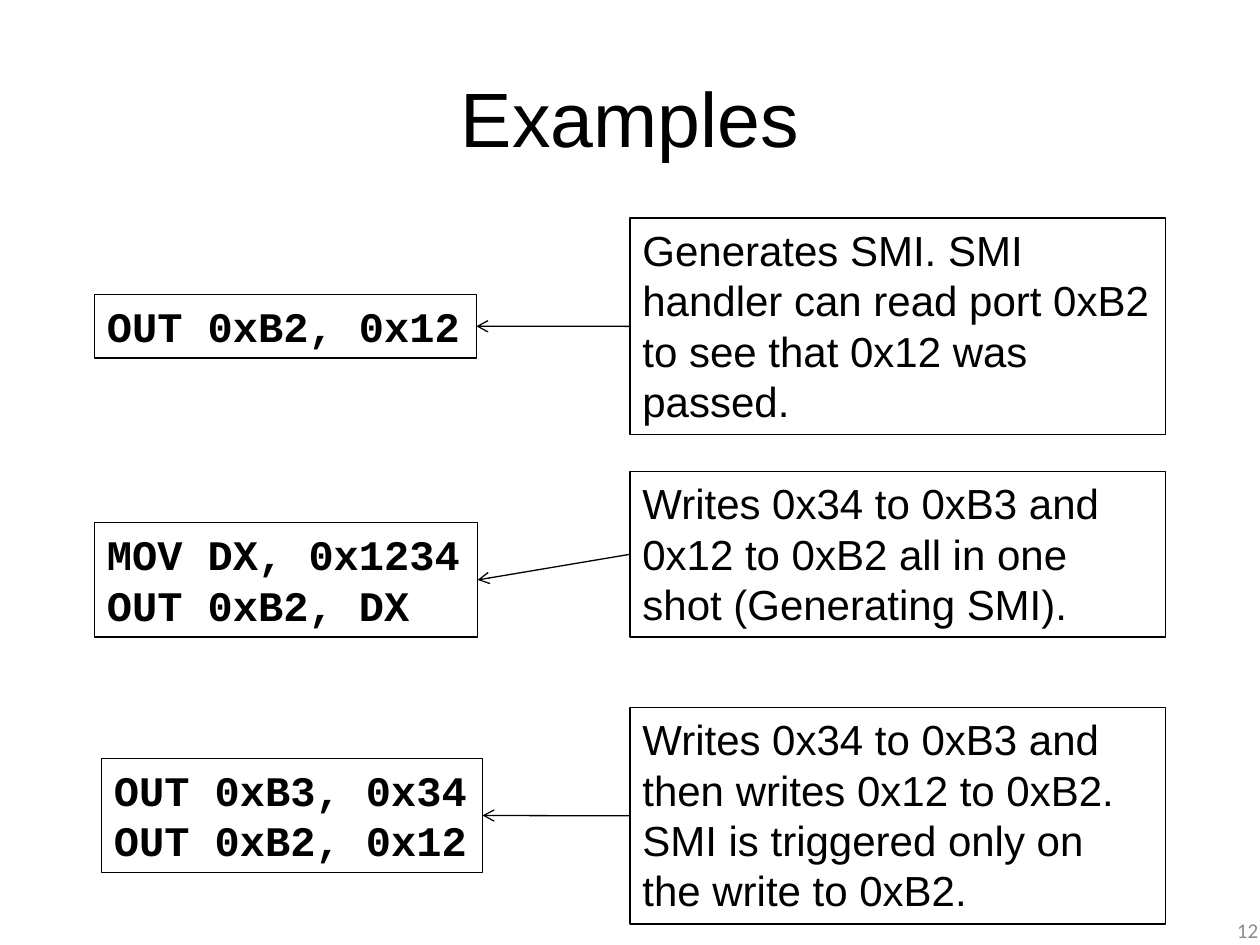
import pptx
import pptx.dml.color
import pptx.enum.shapes
import pptx.enum.text
import pptx.oxml
import pptx.oxml.ns
import pptx.util
from lxml import etree

Pt = pptx.util.Pt
Align = pptx.enum.text.PP_ALIGN
Anchor = pptx.enum.text.MSO_ANCHOR
AutoSize = pptx.enum.text.MSO_AUTO_SIZE

COLORS = {"ink": "000000", "paper": "FFFFFF", "number": "8C8C8C"}
LEFT_SIDE, RIGHT_SIDE = 1, 3
NOTE_LEFT, NOTE_WIDTH = 360, 306

# Each example: code lines, code box, note text, note top and height
EXAMPLES = [
    (["OUT 0xB2, 0x12"], (54, 168.3, 218.2, 36.3),
     "Generates SMI. SMI handler can read port 0xB2 to see that 0x12 was passed.",
     124.6, 123.8),
    (["MOV DX, 0x1234", "OUT 0xB2, DX"], (54, 298.7, 218.9, 65.4),
     "Writes 0x34 to 0xB3 and 0x12 to 0xB2 all in one shot (Generating SMI).",
     269.5, 94.5),
    (["OUT 0xB3, 0x34", "OUT 0xB2, 0x12"], (58, 433.3, 217.7, 65.4),
     "Writes 0x34 to 0xB3 and then writes 0x12 to 0xB2. "
     "SMI is triggered only on the write to 0xB2.",
     404.3, 123.8),
]


def color(name):
    return pptx.dml.color.RGBColor.from_string(COLORS[name])


def write(frame, *lines, font="Arial", size=24, bold=False, ink="ink",
          align=Align.LEFT, anchor=Anchor.TOP, wrap=True):
    """Put one paragraph per line into a text frame."""
    frame.word_wrap = wrap
    frame.vertical_anchor = anchor
    for index, line in enumerate(lines):
        para = frame.add_paragraph() if index else frame.paragraphs[0]
        para.alignment = align
        span = para.add_run()
        span.text = line
        span.font.name = font
        span.font.size = Pt(size)
        span.font.bold = bold
        span.font.color.rgb = color(ink)


class Painter:
    """Holds the line style and the current slide."""

    def __init__(self, page, line_width=0.75):
        self.page = page
        self.line_width = line_width

    def outline(self, line):
        line.color.rgb = color("ink")
        line.width = Pt(self.line_width)

    def title(self, text, left, top, width, height):
        box = self.page.shapes.title
        box.left, box.top = Pt(left), Pt(top)
        box.width, box.height = Pt(width), Pt(height)
        write(box.text_frame, text, size=44, align=Align.CENTER, anchor=Anchor.MIDDLE)

    def text(self, lines, bounds, **style):
        box = self.page.shapes.add_textbox(*map(Pt, bounds))
        write(box.text_frame, *lines, **style)
        return box

    def framed(self, lines, bounds, **style):
        box = self.text(lines, bounds, **style)
        box.text_frame.auto_size = AutoSize.SHAPE_TO_FIT_TEXT
        self.outline(box.line)
        return box

    def arrow(self, note, code):
        """Point from the left side of the note to the right side of the code."""
        link = self.page.shapes.add_connector(
            pptx.enum.shapes.MSO_CONNECTOR.STRAIGHT, 0, 0, 0, 0)
        link.begin_connect(note, LEFT_SIDE)
        link.end_connect(code, RIGHT_SIDE)
        self.outline(link.line)
        properties = link.element.spPr
        head = etree.SubElement(properties.get_or_add_ln(), pptx.oxml.ns.qn("a:tailEnd"))
        head.set("type", "arrow")
        etree.SubElement(properties, pptx.oxml.ns.qn("a:effectLst"))


def main():
    deck = pptx.Presentation()
    deck.slide_width, deck.slide_height = Pt(720), Pt(540)
    page = deck.slides.add_slide(deck.slide_layouts.get_by_name("Title Only"))
    page.background.fill.solid()
    page.background.fill.fore_color.rgb = color("paper")

    painter = Painter(page)
    painter.title("Examples", 36, 21.6, 648, 90)
    for lines, bounds, remark, top, height in EXAMPLES:
        code = painter.framed(lines, bounds, font="Courier New", bold=True, wrap=False)
        note = painter.framed([remark], (NOTE_LEFT, top, NOTE_WIDTH, height))
        painter.arrow(note, code)
    painter.text(["12"], (558, 517, 168, 28.8), font="Calibri", size=12,
                 ink="number", align=Align.RIGHT, anchor=Anchor.MIDDLE)
    deck.save("out.pptx")


if __name__ == "__main__":
    main()
